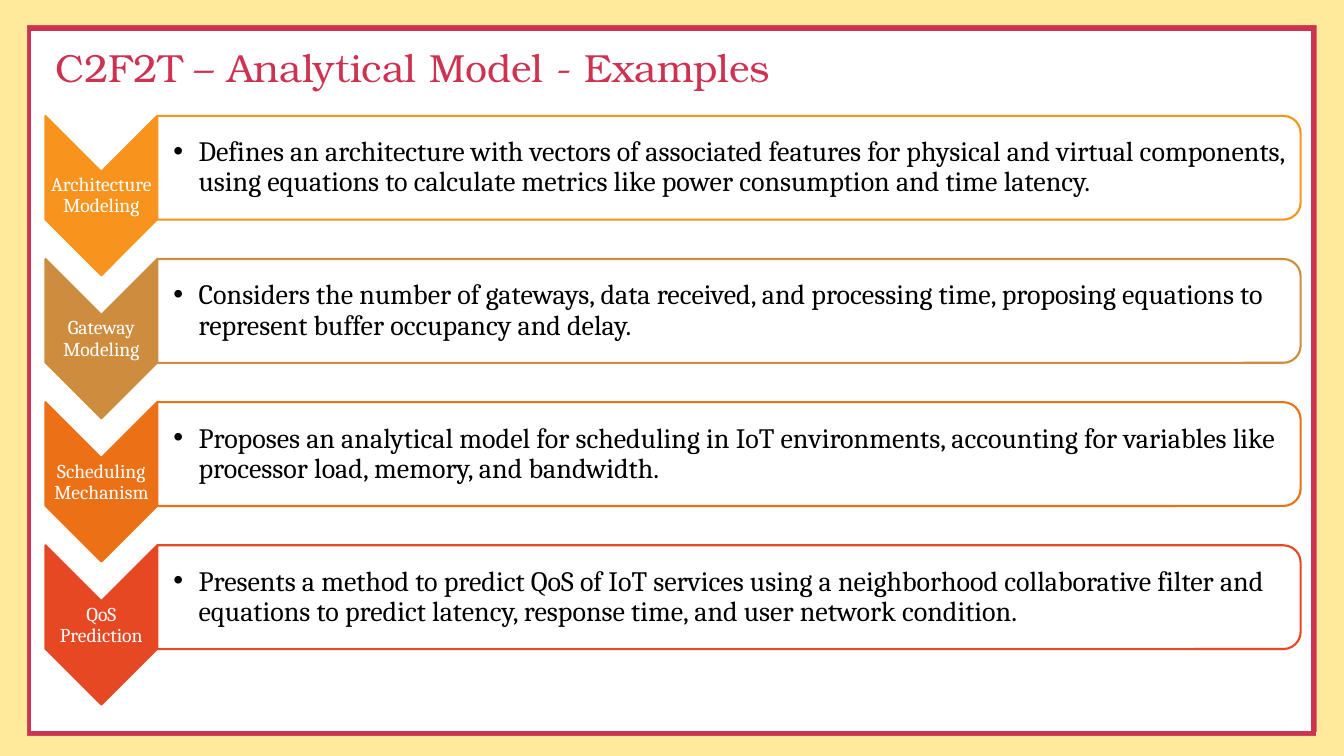
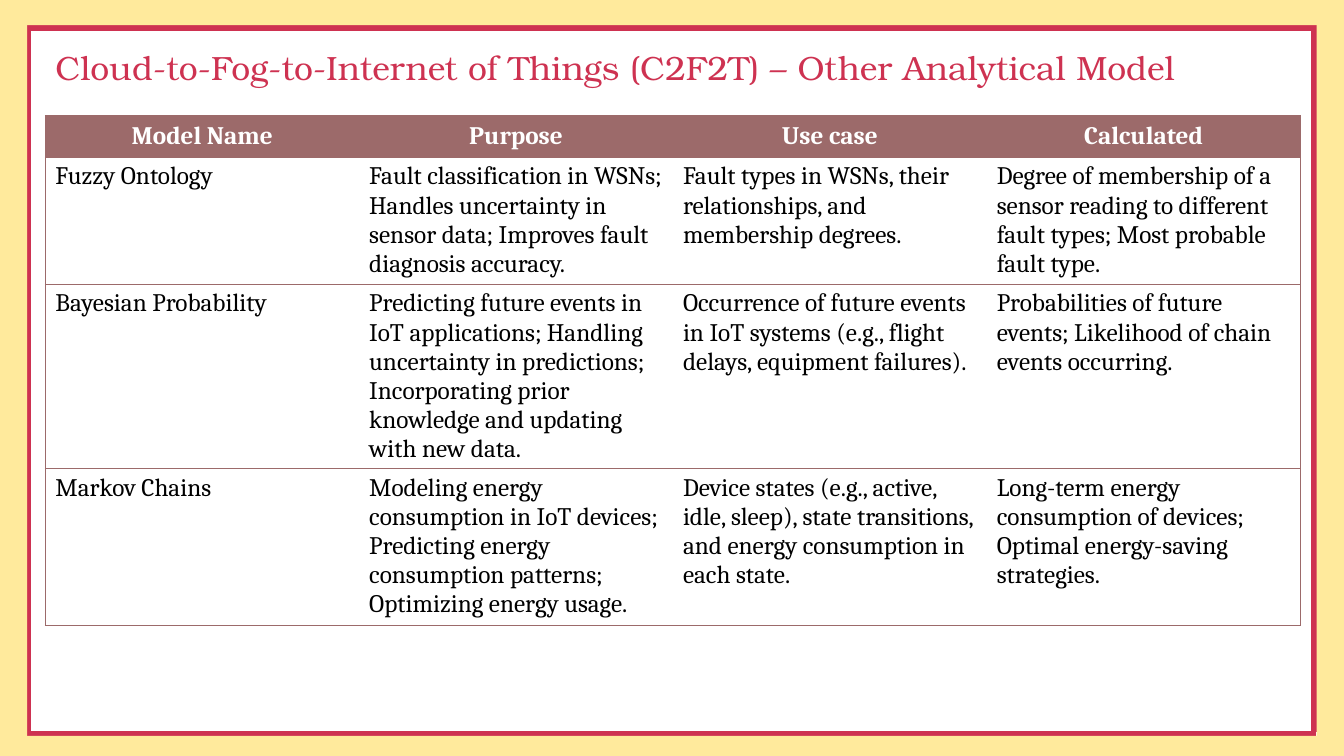
from pptx import Presentation
from pptx.dml.color import RGBColor
from pptx.enum.shapes import MSO_CONNECTOR, MSO_SHAPE
from pptx.enum.text import MSO_ANCHOR, MSO_AUTO_SIZE, PP_ALIGN
from pptx.oxml.ns import qn
from pptx.util import Inches, Pt
from lxml.etree import SubElement

HUES = {
    "red": "CE3251", "cream": "FFEA9C", "white": "FFFFFF", "black": "000000",
    "mauve": "9C6A6A", "amber": "F8931D", "tan": "CE8D3E",
    "orange": "EC7016", "rust": "E64823",
}
HEAD, BODY = "TeX Gyre Bonum", "Cambria"
LEFT, TOP, WIDE = 0.45, 1.15, 12.45

STEPS = [
    ("amber", "Architecture Modeling",
     "Defines an architecture with vectors of associated features for physical "
     "and virtual components, using equations to calculate metrics like power "
     "consumption and time latency."),
    ("tan", "Gateway Modeling",
     "Considers the number of gateways, data received, and processing time, "
     "proposing equations to represent buffer occupancy and delay."),
    ("orange", "Scheduling Mechanism",
     "Proposes an analytical model for scheduling in IoT environments, "
     "accounting for variables like processor load, memory, and bandwidth."),
    ("rust", "QoS Prediction",
     "Presents a method to predict QoS of IoT services using a neighborhood "
     "collaborative filter and equations to predict latency, response time, "
     "and user network condition."),
]

MODELS = [
    ("Model Name", "Purpose", "Use case", "Calculated"),
    ("Fuzzy Ontology",
     "Fault classification in WSNs; Handles uncertainty in sensor data; "
     "Improves fault diagnosis accuracy.",
     "Fault types in WSNs, their relationships, and membership degrees.",
     "Degree of membership of a sensor reading to different fault types; "
     "Most probable fault type."),
    ("Bayesian Probability",
     "Predicting future events in IoT applications; Handling uncertainty in "
     "predictions; Incorporating prior knowledge and updating with new data.",
     "Occurrence of future events in IoT systems (e.g., flight delays, "
     "equipment failures).",
     "Probabilities of future events; Likelihood of chain events occurring."),
    ("Markov Chains",
     "Modeling energy consumption in IoT devices; Predicting energy "
     "consumption patterns; Optimizing energy usage.",
     "Device states (e.g., active, idle, sleep), state transitions, and "
     "energy consumption in each state.",
     "Long-term energy consumption of devices; Optimal energy-saving "
     "strategies."),
]
ROWS = [0.41, 1.26, 1.83, 1.55]


def hue(name):
    return RGBColor.from_string(HUES[name])


def write(para, text, size, tint, face=BODY, bold=False):
    run = para.add_run()
    run.text = text
    font = run.font
    font.name, font.size, font.bold = face, Pt(size), bold
    font.color.rgb = hue(tint)


def place(slide, kind, x, y, w, h, fill, line=None, turn=0):
    """Add a shape; x, y, w and h are the box it covers once turned."""
    if turn == 90:
        x, y, w, h = x + (w - h) / 2, y + (h - w) / 2, h, w
    shape = slide.shapes.add_shape(
        kind, Inches(x), Inches(y), Inches(w), Inches(h))
    shape.rotation = turn
    shape.shadow.inherit = False
    shape.fill.solid()
    shape.fill.fore_color.rgb = hue(fill)
    if line:
        shape.line.color.rgb = hue(line)
        shape.line.width = Pt(1.5)
    else:
        shape.line.fill.background()


def label(slide, x, y, w, h, inset=0.01):
    """Add an empty text box and return its first paragraph."""
    box = slide.shapes.add_textbox(Inches(x), Inches(y), Inches(w), Inches(h))
    frame = box.text_frame
    frame.word_wrap = True
    frame.vertical_anchor = MSO_ANCHOR.MIDDLE
    frame.margin_left = Inches(inset)
    frame.margin_right = frame.margin_top = frame.margin_bottom = Inches(0.01)
    para = frame.paragraphs[0]
    para.line_spacing = 0.9
    return para


def border(slide):
    for ends in [(0.26, 7.28, 13.05, 7.28), (0.28, 0.28, 0.28, 7.3),
                 (0.27, 0.28, 13.06, 0.28), (13.03, 0.24, 13.03, 7.26)]:
        rule = slide.shapes.add_connector(
            MSO_CONNECTOR.STRAIGHT, *[Inches(v) for v in ends])
        rule.line.color.rgb = hue("red")
        rule.line.width = Pt(4.5)
        SubElement(rule.element.spPr, qn("a:effectLst"))
    for band in [(0, 0, 13.33, 0.25), (0, 7.3, 13.33, 0.2),
                 (13.06, 0.25, 0.27, 7.05), (0, 0.25, 0.27, 7.05)]:
        place(slide, MSO_SHAPE.RECTANGLE, *band, "cream")


def start(deck, text, size):
    """Add a framed slide with its title."""
    slide = deck.slides.add_slide(deck.slide_layouts[5])
    border(slide)
    title = slide.shapes.title
    title.left, title.top = Inches(LEFT), Inches(0.35)
    title.width, title.height = Inches(WIDE), Inches(0.69)
    frame = title.text_frame
    frame.auto_size = MSO_AUTO_SIZE.NONE
    frame.word_wrap = True
    frame.vertical_anchor = MSO_ANCHOR.MIDDLE
    para = frame.paragraphs[0]
    para.alignment = PP_ALIGN.LEFT
    para.line_spacing = 0.9
    write(para, text, size, "red", HEAD)
    return slide


def step(slide, x, y, w, tint, name, text):
    """Draw a down chevron with its bar to the right."""
    arm = 1.11
    place(slide, MSO_SHAPE.CHEVRON, x, y, arm, 1.58, tint, tint, 90)
    para = label(slide, x, y + 0.56, arm, 0.47)
    para.alignment = PP_ALIGN.CENTER
    write(para, name, 14, "white")

    place(slide, MSO_SHAPE.ROUND_2_SAME_RECTANGLE,
          x + arm, y, w - arm, 1.03, "white", tint, 90)
    para = label(slide, x + arm, y + 0.05, w - arm - 0.05, 0.93, 0.16)
    props = para._p.get_or_add_pPr()
    props.set("marL", str(Inches(0.25)))
    props.set("indent", str(-Inches(0.25)))
    SubElement(props, qn("a:buFont"), typeface="Arial")
    SubElement(props, qn("a:buChar"), char="•")
    write(para, text, 20, "black")


def edges(cell, sides):
    """Rule the named sides of a cell and clear the others."""
    props = cell._tc.get_or_add_tcPr()
    for side in "LRTB":
        line = SubElement(props, qn("a:ln" + side), w=str(Pt(1)))
        if side in sides:
            fill = SubElement(line, qn("a:solidFill"))
            SubElement(fill, qn("a:srgbClr"), val=HUES["mauve"])
        else:
            SubElement(line, qn("a:noFill"))


def grid(slide, x, y, w, data, rows):
    cols = len(data[0])
    table = slide.shapes.add_table(
        len(data), cols, Inches(x), Inches(y),
        Inches(w), Inches(sum(rows))).table
    table.first_row = table.horz_banding = False
    for r, line in enumerate(data):
        table.rows[r].height = Inches(rows[r])
        for c, text in enumerate(line):
            cell = table.cell(r, c)
            edges(cell, "TB" + "L" * (c == 0) + "R" * (c == cols - 1))
            para = cell.text_frame.paragraphs[0]
            if r == 0:
                cell.fill.solid()
                cell.fill.fore_color.rgb = hue("mauve")
                cell.vertical_anchor = MSO_ANCHOR.MIDDLE
                para.alignment = PP_ALIGN.CENTER
                write(para, text, 18, "white", bold=True)
            else:
                cell.fill.background()
                write(para, text, 18, "black")


def main():
    deck = Presentation()
    deck.slide_width, deck.slide_height = Inches(13.33), Inches(7.5)

    slide = start(deck, "C2F2T – Analytical Model - Examples", 28)
    for i, item in enumerate(STEPS):
        step(slide, LEFT, TOP + 1.42 * i, WIDE, *item)

    slide = start(deck, "Cloud-to-Fog-to-Internet of Things (C2F2T) – "
                        "Other Analytical Model", 24)
    grid(slide, LEFT, TOP, WIDE, MODELS, ROWS)

    deck.save("out.pptx")


if __name__ == "__main__":
    main()
